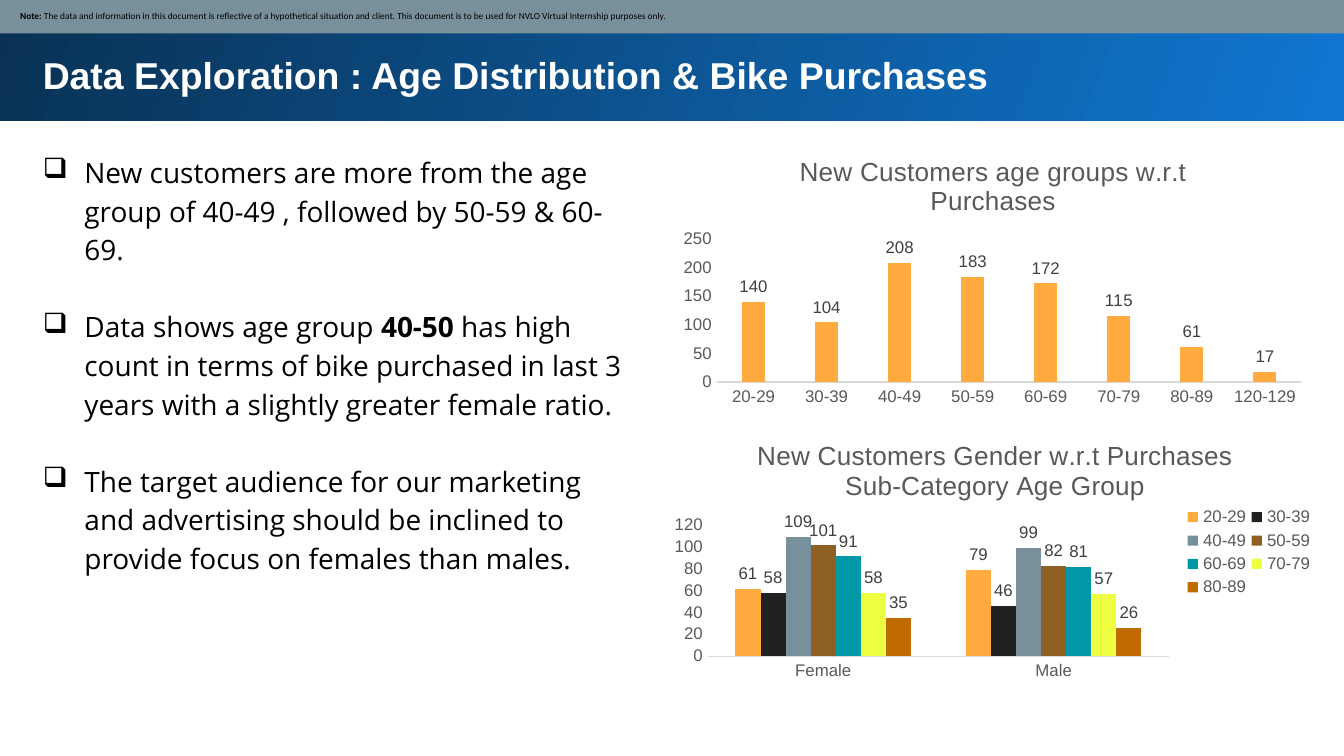
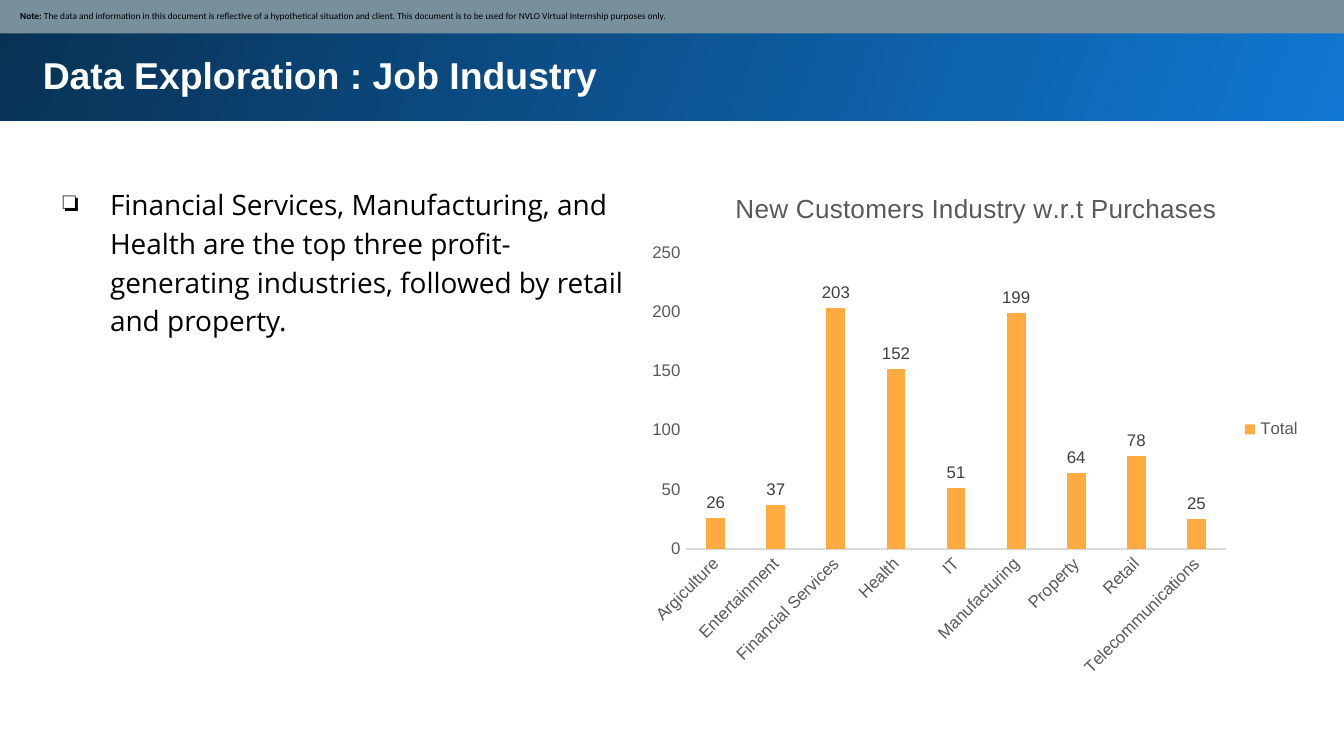
import lxml.etree
import pptx
import pptx.chart.data
import pptx.dml.color
import pptx.enum.chart
import pptx.enum.shapes
import pptx.enum.text
import pptx.oxml.ns
import pptx.util

RGBColor = pptx.dml.color.RGBColor
Pt = pptx.util.Pt
Inches = pptx.util.Inches

BLACK = RGBColor(0x00, 0x00, 0x00)
WHITE = RGBColor(0xFF, 0xFF, 0xFF)
BAND_LIGHT = RGBColor(0x10, 0x77, 0xD2)
BAND_DARK = RGBColor(0x09, 0x31, 0x53)
SLATE = RGBColor(0x78, 0x90, 0x9C)
AXIS_GREY = RGBColor(0x59, 0x59, 0x59)
LABEL_GREY = RGBColor(0x40, 0x40, 0x40)
LINE_GREY = RGBColor(0xD9, 0xD9, 0xD9)
ORANGE = RGBColor(0xFF, 0xAB, 0x40)
SERIES_COLORS = [
    ORANGE,
    RGBColor(0x21, 0x21, 0x21),
    SLATE,
    RGBColor(0x8F, 0x60, 0x24),
    RGBColor(0x00, 0x97, 0xA7),
    RGBColor(0xEE, 0xFF, 0x41),
    RGBColor(0xBF, 0x6B, 0x00),
]

HEAD_FONT = "Arial"
BODY_FONT = "Open Sans"
NOTE_FONT = "Calibri"
NOTE = [
    ("Note: ", True),
    ("The data and information in this document is reflective of a hypothetical "
     "situation and client. This document is to be used for NVLO Virtual "
     "Internship purposes only.", False),
]
GRID = 100  # columns across and rows down the slide


def set_font(font, name, size, color, bold=False):
    font.name = name
    font.size = Pt(size)
    font.color.rgb = color
    font.bold = bold


def set_layout(parent, index, box, inner=False):
    """Fix a chart part at shares (x, y, w, h) of the chart's size."""
    qn = pptx.oxml.ns.qn
    for old in parent.findall(qn("c:layout")):
        parent.remove(old)
    layout = lxml.etree.Element(qn("c:layout"))
    manual = lxml.etree.SubElement(layout, qn("c:manualLayout"))
    settings = [("layoutTarget", "inner")] if inner else []
    settings += [("xMode", "edge"), ("yMode", "edge")]
    settings += zip("xywh", map(str, box))
    for tag, value in settings:
        lxml.etree.SubElement(manual, qn(f"c:{tag}")).set("val", value)
    parent.insert(index, layout)


class Deck:
    def __init__(self):
        self.prs = pptx.Presentation()
        self.prs.slide_width = Inches(10)
        self.prs.slide_height = Inches(5.625)
        self.slide = None

    def place(self, left, top, width, height):
        """Turn grid columns and rows into slide lengths."""
        column = self.prs.slide_width / GRID
        row = self.prs.slide_height / GRID
        return (int(left * column), int(top * row),
                int(width * column), int(height * row))

    def start(self, title):
        self.slide = self.prs.slides.add_slide(self.prs.slide_layouts[6])
        self.band(-0.2, -0.36, 100.5, 16.36, BAND_LIGHT, BAND_DARK)
        heading = self.text_box(2.2, 5.16, 93.7, 9.6)
        self.add_runs(heading.paragraphs[0], [(title, True)], HEAD_FONT, 20, WHITE)

    def band(self, left, top, width, height, color, end_color=None):
        band = self.slide.shapes.add_shape(
            pptx.enum.shapes.MSO_SHAPE.RECTANGLE,
            *self.place(left, top, width, height))
        band.shadow.inherit = False
        band.line.fill.background()
        if end_color is None:
            band.fill.solid()
            band.fill.fore_color.rgb = color
        else:
            band.fill.gradient()
            band.fill.gradient_angle = 160
            for stop, shade in zip(band.fill.gradient_stops, (color, end_color)):
                stop.color.rgb = shade
        return band

    def note(self):
        frame = self.band(-0.1, -0.18, 100.3, 4.62, SLATE).text_frame
        frame.word_wrap = True
        frame.vertical_anchor = pptx.enum.text.MSO_ANCHOR.MIDDLE
        frame.margin_left = Inches(0.16)
        frame.margin_right = frame.margin_top = frame.margin_bottom = Inches(0.05)
        frame.paragraphs[0].alignment = pptx.enum.text.PP_ALIGN.LEFT
        self.add_runs(frame.paragraphs[0], NOTE, NOTE_FONT, 5, BLACK)

    def text_box(self, left, top, width, height):
        frame = self.slide.shapes.add_textbox(
            *self.place(left, top, width, height)).text_frame
        frame.word_wrap = True
        frame.margin_left = frame.margin_right = Inches(0.1)
        frame.margin_top = frame.margin_bottom = Inches(0.1)
        return frame

    def add_runs(self, paragraph, pieces, font, size, color):
        for text, bold in pieces:
            run = paragraph.add_run()
            run.text = text
            set_font(run.font, font, size, color, bold)

    def bullets(self, top, height, points, mark, indent, hanging):
        frame = self.text_box(2.2, top, 45.2, height)
        for number, pieces in enumerate(points):
            point = frame.add_paragraph() if number else frame.paragraphs[0]
            point.line_spacing = 1.15
            if number:
                point.space_before = Pt(20.6)
            properties = point._p.get_or_add_pPr()
            properties.set("marL", str(Inches(indent)))
            properties.set("indent", str(-Inches(hanging)))
            lxml.etree.SubElement(
                properties, pptx.oxml.ns.qn("a:buChar")).set("char", mark)
            self.add_runs(point, pieces, BODY_FONT, 15, BLACK)

    def column_chart(self, box, title, categories, series, plot_box,
                     overlap=0, legend=False, legend_box=None, slanted=False):
        data = pptx.chart.data.CategoryChartData()
        data.categories = categories
        for name, values in series.items():
            data.add_series(name, values)
        chart = self.slide.shapes.add_chart(
            pptx.enum.chart.XL_CHART_TYPE.COLUMN_CLUSTERED,
            *self.place(*box), data).chart
        set_font(chart.font, HEAD_FONT, 10, BLACK)
        chart.has_title = True
        heading = chart.chart_title.text_frame
        heading.text = title
        set_font(heading.paragraphs[0].runs[0].font, HEAD_FONT, 14, AXIS_GREY)
        chart.chart_title.include_in_layout = False

        self.style_axes(chart, slanted)
        plot = chart.plots[0]
        plot.gap_width = 219
        plot.overlap = overlap
        plot.vary_by_categories = False
        for columns, color in zip(plot.series, SERIES_COLORS):
            columns.format.fill.solid()
            columns.format.fill.fore_color.rgb = color
            columns.invert_if_negative = False
            labels = columns.data_labels
            labels.show_value = True
            labels.position = pptx.enum.chart.XL_LABEL_POSITION.OUTSIDE_END
            set_font(labels.font, HEAD_FONT, 9, LABEL_GREY)

        plot_area = chart._chartSpace.find(".//" + pptx.oxml.ns.qn("c:plotArea"))
        set_layout(plot_area, 0, plot_box, inner=True)
        chart.has_legend = legend
        if legend:
            chart.legend.position = pptx.enum.chart.XL_LEGEND_POSITION.RIGHT
            chart.legend.include_in_layout = False
            set_font(chart.legend.font, HEAD_FONT, 9, AXIS_GREY)
            if legend_box:
                set_layout(chart.legend._element, 1, legend_box)

    def style_axes(self, chart, slanted):
        for axis in (chart.category_axis, chart.value_axis):
            axis.has_major_gridlines = False
            axis.major_tick_mark = pptx.enum.chart.XL_TICK_MARK.NONE
            axis.minor_tick_mark = pptx.enum.chart.XL_TICK_MARK.NONE
            set_font(axis.tick_labels.font, HEAD_FONT, 9, AXIS_GREY)
        chart.value_axis.format.line.fill.background()
        chart.category_axis.format.line.color.rgb = LINE_GREY
        chart.category_axis.format.line.width = Pt(0.75)
        if slanted:
            body = chart.category_axis._element.find(
                pptx.oxml.ns.qn("c:txPr")).find(pptx.oxml.ns.qn("a:bodyPr"))
            body.set("rot", "-2700000")


def age_slide(deck):
    deck.start("Data Exploration : Age Distribution & Bike Purchases")
    deck.bullets(18.13, 60.1, [
        [("New customers are more from the age group of 40-49 , "
          "followed by 50-59 & 60-69.", False)],
        [("Data shows age group ", False), ("40-50", True),
         (" has high count in terms of bike purchased in last 3 years "
          "with a slightly greater female ratio.", False)],
        [("The target audience for our marketing and advertising should be "
          "inclined to provide focus on females than males.", False)],
    ], "❑", 0.31, 0.31)
    deck.note()
    deck.column_chart(
        (49.2, 55.82, 49.7, 34.84),
        "New Customers Gender w.r.t Purchases Sub-Category Age Group",
        ["Female", "Male"],
        {"20-29": (61, 79), "30-39": (58, 46), "40-49": (109, 99),
         "50-59": (101, 82), "60-69": (91, 81), "70-79": (58, 57),
         "80-89": (35, 26)},
        (0.07, 0.39, 0.69, 0.5), legend=True, legend_box=(0.78, 0.31, 0.2, 0.37))
    deck.column_chart(
        (50, 18.13, 47.8, 36.44),
        "New Customers age groups w.r.t Purchases",
        ["20-29", "30-39", "40-49", "50-59", "60-69", "70-79", "80-89", "120-129"],
        {"Series 1": (140, 104, 208, 183, 172, 115, 61, 17)},
        (0.07, 0.37, 0.91, 0.52), overlap=-27)


def industry_slide(deck):
    deck.start("Data Exploration : Job Industry")
    deck.bullets(22.4, 34.3, [
        [("Financial Services, Manufacturing, and Health are the top three "
          "profit-generating industries, followed by retail and property.", False)],
    ], "❏", 0.5, 0.35)
    deck.note()
    deck.column_chart(
        (47.5, 22.4, 50.3, 68.8),
        "New Customers Industry w.r.t Purchases",
        ["Argiculture", "Entertainment", "Financial Services", "Health", "IT",
         "Manufacturing", "Property", "Retail", "Telecommunications"],
        {"Total": (26, 37, 203, 152, 51, 199, 64, 78, 25)},
        (0.07, 0.16, 0.8, 0.57), legend=True, slanted=True)


def main():
    deck = Deck()
    age_slide(deck)
    industry_slide(deck)
    deck.prs.save("out.pptx")


if __name__ == "__main__":
    main()
